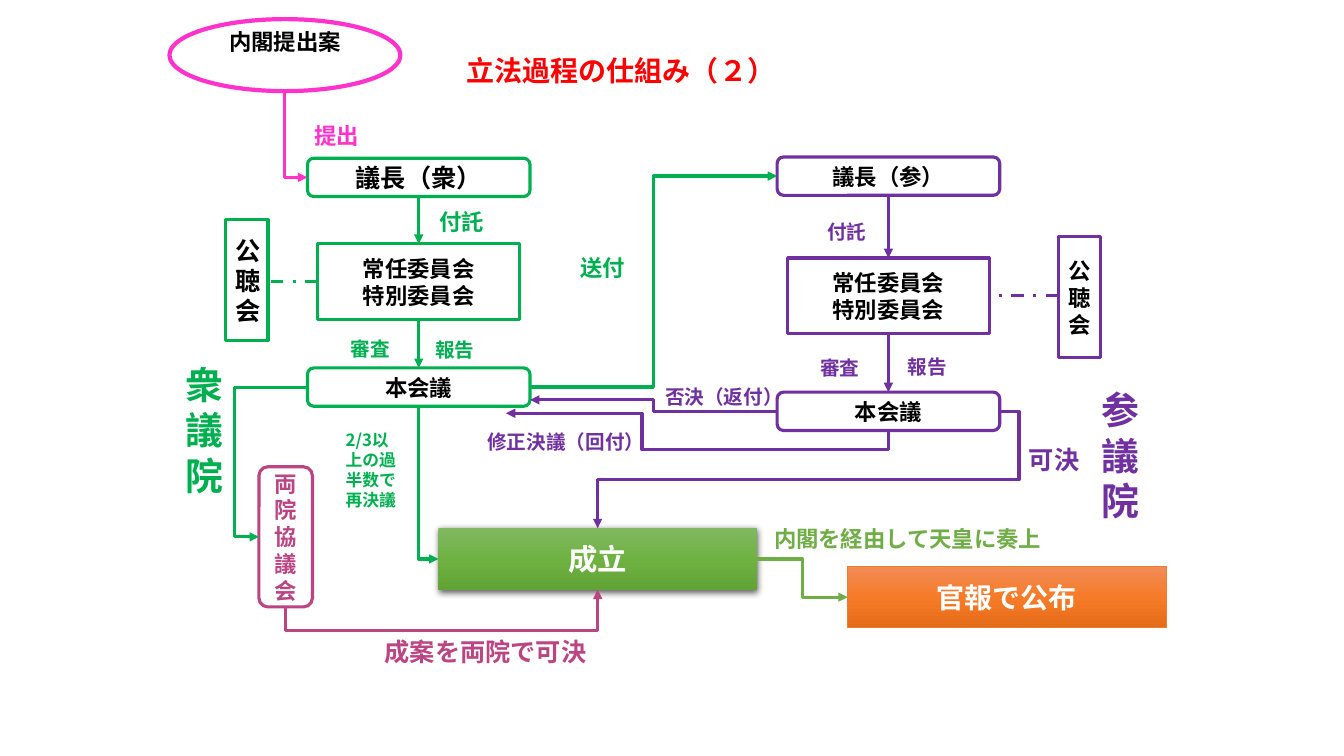
import copy
from dataclasses import dataclass

import lxml.etree
import pptx
import pptx.dml.color
import pptx.enum.dml
import pptx.enum.shapes
import pptx.enum.text
import pptx.oxml.ns
import pptx.util

Pt = pptx.util.Pt
qn = pptx.oxml.ns.qn
KIND = pptx.enum.shapes.MSO_SHAPE
LINK = pptx.enum.shapes.MSO_CONNECTOR
ALIGN = pptx.enum.text.PP_ALIGN
ANCHOR = pptx.enum.text.MSO_ANCHOR


@dataclass(frozen=True)
class Theme:
    """Colours, type sizes and line weights."""
    font: str = "Noto Sans CJK JP"
    black: str = "000000"
    white: str = "FFFFFF"
    red: str = "FF0000"
    pink: str = "FF33CC"
    green: str = "00B050"
    purple: str = "7030A0"
    plum: str = "BB4583"
    leaf: str = "70AD47"
    orange: str = "ED7D31"
    leaf_shades: tuple = ("81B861", "6FB242", "62A336")
    orange_shades: tuple = ("F18C57", "F67B28", "E56C19")
    note: int = 12
    small: int = 14
    body: int = 16
    large: int = 18
    title: int = 20
    result: int = 21
    chamber: int = 27
    stroke: float = 2.25


THEME = Theme()


@dataclass(frozen=True)
class Box:
    """A rectangle in points."""
    left: float
    top: float
    width: float
    height: float

    @property
    def right(self):
        """Right edge."""
        return self.left + self.width

    @property
    def bottom(self):
        """Bottom edge."""
        return self.top + self.height

    @property
    def centre(self):
        """Horizontal centre."""
        return self.left + self.width / 2

    @property
    def middle(self):
        """Vertical middle."""
        return self.top + self.height / 2

    def lengths(self):
        """Return the four lengths for python-pptx."""
        return [Pt(n) for n in (self.left, self.top, self.width, self.height)]


@dataclass(frozen=True)
class Chamber:
    """What differs between the two houses; offsets start at the chair's corner."""
    name: str
    chair: str
    colour: str
    chair_size: int
    hearing_size: int
    entrust_size: int
    committee_drop: float
    plenary_drop: float
    hearing_at: tuple
    entrust_at: tuple
    examine_at: tuple
    report_at: tuple
    name_at: tuple


LOWER = Chamber("衆議院", "議長（衆）", THEME.green, THEME.large, THEME.large, THEME.body,
                61.2, 149.8, (-58.3, 44), (87.1, 32.4), (23.8, 123.9), (84.2, 124.6), (-94.3, 141.9))
UPPER = Chamber("参議院", "議長（参）", THEME.purple, THEME.body, THEME.body, THEME.small,
                72.2, 168, (200.9, 57.1), (28.8, 41.3), (23.8, 138.5), (86.4, 137.7), (224.7, 160.8))


def rgb(colour):
    """Turn a hex string into a colour."""
    return pptx.dml.color.RGBColor.from_string(colour)


def write(frame, text, size, colour, align):
    """Fill a text frame with bold text in the theme font."""
    frame.text = text
    for paragraph in frame.paragraphs:
        paragraph.alignment = align
        font = paragraph.font
        font.size, font.bold = Pt(size), True
        font.color.rgb = rgb(colour)
        font.name = THEME.font
        lxml.etree.SubElement(font._element, qn("a:ea"), typeface=THEME.font)


def node(slide, kind, box, text, size, line, colour=THEME.black, weight=THEME.stroke):
    """Draw a white outlined shape with centred text."""
    shape = slide.shapes.add_shape(kind, *box.lengths())
    shape.shadow.inherit = False
    shape.fill.solid()
    shape.fill.fore_color.rgb = rgb(THEME.white)
    if line:
        shape.line.color.rgb = rgb(line)
        shape.line.width = Pt(weight)
    else:
        shape.line.fill.background()
    shape.text_frame.vertical_anchor = ANCHOR.MIDDLE
    write(shape.text_frame, text, size, colour, ALIGN.CENTER)
    return shape


def shade(shape, shades):
    """Give a shape a top-to-bottom gradient of three shades."""
    shape.fill.gradient()
    shape.fill.gradient_angle = 270
    stops = shape._element.spPr.find(".//" + qn("a:gsLst"))
    stops.append(copy.deepcopy(stops[0]))
    for stop, position, colour in zip(shape.fill.gradient_stops, (0, 0.5, 1), shades):
        stop.position = position
        stop.color.rgb = rgb(colour)


def label(slide, left, top, text, size, colour, width=None, height=None):
    """Place a text box, on one line unless a width is given."""
    box = Box(left, top, width or len(text) * size + 16, height or size * 1.2 + 7.2)
    frame = slide.shapes.add_textbox(*box.lengths()).text_frame
    frame.word_wrap = width is not None
    frame.auto_size = pptx.enum.text.MSO_AUTO_SIZE.SHAPE_TO_FIT_TEXT
    write(frame, text, size, colour, ALIGN.LEFT)


def bend(connector, points):
    """Shape an elbow connector so that it runs through the points."""
    (x1, y1), (x2, y2) = points[0], points[-1]
    legs, dx, dy = len(points) - 1, x2 - x1, y2 - y1
    upright = points[0][0] == points[1][0]
    frame = connector._element.spPr.find(qn("a:xfrm"))
    if upright:
        connector.left, connector.top = Pt((x1 + x2 - abs(dy)) / 2), Pt((y1 + y2 - abs(dx)) / 2)
        connector.width, connector.height = Pt(abs(dy)), Pt(abs(dx))
        turn, flip_h, flip_v = 270 if dy > 0 else 90, True, (dy > 0) != (dx > 0)
    elif dx < 0 and legs == 3:
        turn, flip_h, flip_v = 180, False, dy > 0
    else:
        turn, flip_h, flip_v = 0, dx < 0, dy < 0
    for key, value in (("rot", turn * 60000), ("flipH", int(flip_h)), ("flipV", int(flip_v))):
        frame.set(key, str(value))
    geometry = connector._element.spPr.find(qn("a:prstGeom"))
    geometry.set("prst", f"bentConnector{legs}")
    along, across = ((points[1][1] - y1) / dy, (points[2][0] - x1) / dx) if upright else (
        (points[1][0] - x1) / dx, (points[2][1] - y1) / dy)
    guides = geometry.get_or_add_avLst()
    for number, share in enumerate((along, across)[:legs - 2], 1):
        lxml.etree.SubElement(guides, qn("a:gd"), name=f"adj{number}", fmla=f"val {round(share * 100000)}")


def route(slide, colour, *points, dashed=False):
    """Connect points by an arrow, or by a dashed line without a head."""
    kind = LINK.ELBOW if len(points) > 2 else LINK.STRAIGHT
    connector = slide.shapes.add_connector(kind, *(Pt(n) for n in points[0] + points[-1]))
    connector.line.color.rgb = rgb(colour)
    connector.line.width = Pt(THEME.stroke)
    if dashed:
        connector.line.dash_style = pptx.enum.dml.MSO_LINE.DASH_DOT
    else:
        lxml.etree.SubElement(connector.line._get_or_add_ln(), qn("a:tailEnd"), type="triangle")
    lxml.etree.SubElement(connector._element.spPr, qn("a:effectLst"))
    if len(points) > 2:
        bend(connector, points)


def draw_title(slide, box):
    """Place the title."""
    title = slide.shapes.title
    title.left, title.top, title.width, title.height = box.lengths()
    write(title.text_frame, "立法過程の仕組み（２）", THEME.title, THEME.red, ALIGN.CENTER)


def draw_chamber(slide, chair, house):
    """Draw one house below its chair's box and return its plenary box."""
    colour = house.colour
    committee = Box(chair.left + 7.5, chair.top + house.committee_drop, 144, 54)
    plenary = Box(chair.left, chair.top + house.plenary_drop, chair.width, chair.height)
    hearing = Box(chair.left + house.hearing_at[0], chair.top + house.hearing_at[1], 30.2, 86.4)
    node(slide, KIND.ROUNDED_RECTANGLE, chair, house.chair, house.chair_size, colour)
    node(slide, KIND.RECTANGLE, committee, "常任委員会\n特別委員会", THEME.body, colour)
    node(slide, KIND.ROUNDED_RECTANGLE, plenary, "本会議", THEME.body, colour)
    node(slide, KIND.RECTANGLE, hearing, "公聴会", house.hearing_size, colour)
    for upper, lower in ((chair, committee), (committee, plenary)):
        route(slide, colour, (chair.centre, upper.bottom), (chair.centre, lower.top))
    west, east = sorted((committee, hearing), key=lambda box: box.left)
    route(slide, colour, (east.left, committee.middle), (west.right, committee.middle), dashed=True)
    for text, size, (dx, dy), *extent in (
            ("付託", house.entrust_size, house.entrust_at),
            ("審査", THEME.small, house.examine_at),
            ("報告", THEME.small, house.report_at),
            (house.name, THEME.chamber, house.name_at, 47, 105)):
        label(slide, chair.left + dx, chair.top + dy, text, size, colour, *extent)
    return plenary


def draw_submission(slide, bill, chair):
    """Draw the cabinet bill and its way to the chair."""
    oval = node(slide, KIND.OVAL, bill, "内閣提出案", THEME.body, THEME.pink, weight=3)
    oval.text_frame.margin_bottom = Pt(23)
    route(slide, THEME.pink, (bill.centre, bill.bottom), (bill.centre, chair.middle), (chair.left, chair.middle))
    label(slide, bill.left + 96.4, bill.top + 69.8, "提出", THEME.body, THEME.pink)


def draw_exchange(slide, lower, upper, upper_chair):
    """Draw what passes between the two houses."""
    label(slide, 407.5, 177.8, "送付", THEME.body, THEME.green)
    label(slide, 341, 303.8, "修正決議（回付）", THEME.small, THEME.purple)
    label(slide, 468, 271.4, "否決（返付）", THEME.small, THEME.purple)
    route(slide, THEME.green, (lower.right, lower.middle), (466.6, lower.middle),
          (466.6, upper_chair.middle), (upper_chair.left, upper_chair.middle))
    route(slide, THEME.purple, (upper.left, upper.middle), (467, upper.middle), (467, 285.6), (lower.right, 285.6))
    route(slide, THEME.purple, (upper.centre, upper.bottom), (upper.centre, 321.1),
          (458.6, 321.1), (458.6, 295.2), (361.4, 295.2))


def draw_enactment(slide, enacted, lower, upper):
    """Draw the ways to enactment and the promulgation."""
    council = Box(185, 333.4, 38.2, 100.1)
    gazette = Box(enacted.left + 292.3, enacted.top + 27.3, enacted.width, enacted.height)
    node(slide, KIND.ROUNDED_RECTANGLE, council, "両院協議会", THEME.body, THEME.plum, THEME.plum)
    law = node(slide, KIND.RECTANGLE, enacted, "成立", THEME.result, None, THEME.white)
    shade(law, THEME.leaf_shades)
    effects = law._element.spPr.find(qn("a:effectLst"))
    shadow = lxml.etree.SubElement(effects, qn("a:outerShdw"), blurRad=str(Pt(4.5)), dist=str(Pt(1.5)),
                                   dir="5400000", algn="ctr", rotWithShape="0")
    tint = lxml.etree.SubElement(shadow, qn("a:srgbClr"), val=THEME.black)
    lxml.etree.SubElement(tint, qn("a:alpha"), val="63000")
    notice = node(slide, KIND.RECTANGLE, gazette, "官報で公布", THEME.title, THEME.orange, THEME.white, 0.5)
    shade(notice, THEME.orange_shades)
    route(slide, THEME.purple, (upper.right, upper.middle), (727.9, upper.middle),
          (727.9, 342.7), (enacted.centre, 342.7), (enacted.centre, enacted.top))
    route(slide, THEME.green, (lower.centre, lower.bottom), (lower.centre, enacted.middle),
          (enacted.left, enacted.middle))
    route(slide, THEME.green, (lower.left, lower.middle), (167.4, lower.middle),
          (167.4, council.middle), (council.left, council.middle))
    route(slide, THEME.plum, (council.centre, council.bottom), (council.centre, 450.7),
          (enacted.centre, 450.7), (enacted.centre, enacted.bottom))
    route(slide, THEME.leaf, (enacted.right, enacted.middle), (573.1, enacted.middle),
          (573.1, gazette.middle), (gazette.left, gazette.middle))
    label(slide, 727.9, 313.9, "可決", THEME.large, THEME.purple)
    label(slide, 239.8, 303.1, "2/3以上の過半数で再決議", THEME.note, THEME.green, 56.2, 65.5)
    label(slide, 267.8, 450.7, "成案を両院で可決", THEME.large, THEME.plum)
    label(slide, 545.8, 371.5, "内閣を経由して天皇に奏上", THEME.body, THEME.leaf)


def main():
    """Build and save the slide."""
    deck = pptx.Presentation()
    deck.slide_width, deck.slide_height = Pt(960), Pt(540)
    slide = deck.slides.add_slide(deck.slide_layouts[5])
    lower_chair = Box(219.6, 113, 159, 27.4)
    upper_chair = Box(555.1, 112.1, 159, 27.4)
    lower = draw_chamber(slide, lower_chair, LOWER)
    upper = draw_chamber(slide, upper_chair, UPPER)
    draw_exchange(slide, lower, upper, upper_chair)
    draw_enactment(slide, Box(313.2, 377.3, 227.5, 43.9), lower, upper)
    draw_submission(slide, Box(121, 13.7, 165, 51.4), lower_chair)
    draw_title(slide, Box(203.8, 34.6, 479.5, 31.7))
    deck.save("out.pptx")


if __name__ == "__main__":
    main()
